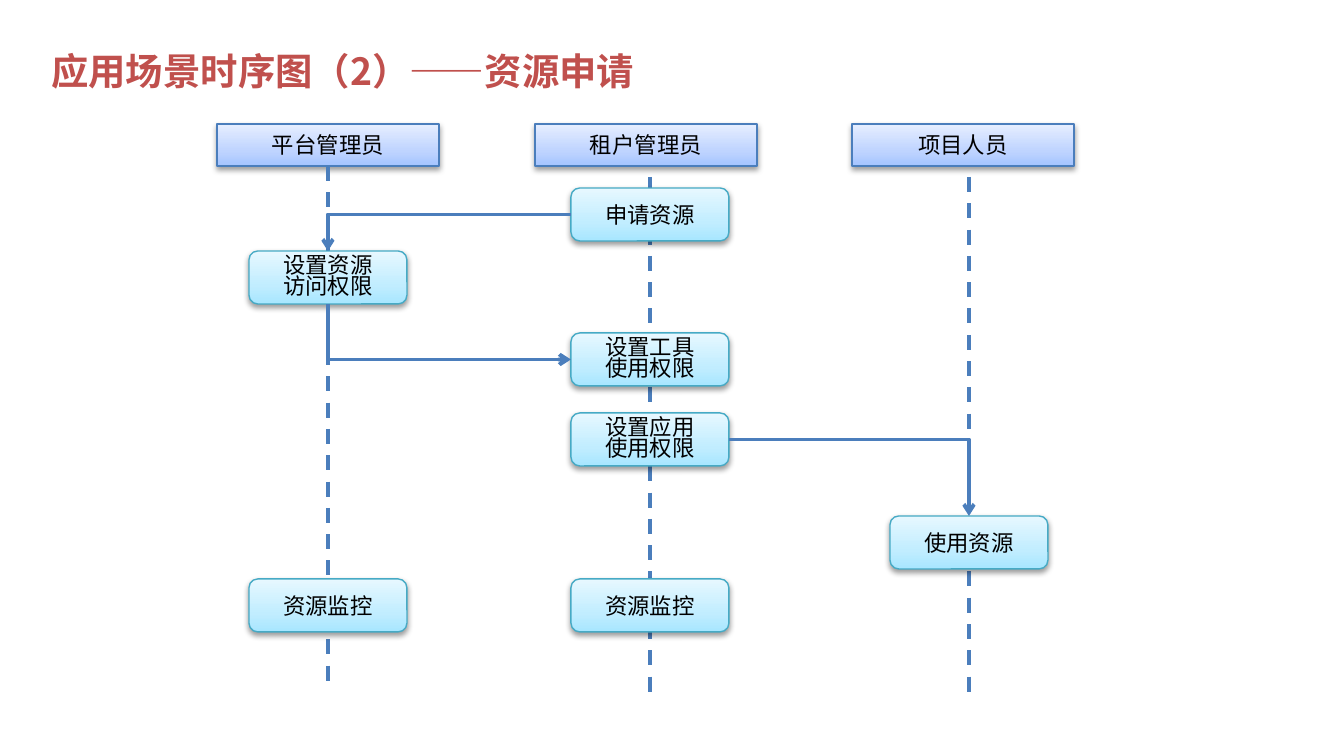
from dataclasses import dataclass

from lxml import etree
from pptx import Presentation
from pptx import util as u
from pptx.dml.color import RGBColor
from pptx.enum import dml, shapes, text
from pptx.oxml.ns import qn

TOP, LEFT, BOTTOM, RIGHT = range(4)


@dataclass(frozen=True)
class Theme:
    font: str = "Noto Sans CJK SC"
    title: str = "C0504D"
    ink: str = "000000"
    line: str = "4B7EBC"
    step_line: str = "46AAC5"
    role_fill: tuple = ("A4C4FF", "BFD4FF", "E6EEFF")
    step_fill: tuple = ("A7E6FF", "C1EDFF", "E7F8FF")
    stops: tuple = (0, 35000, 100000)
    title_size: int = 20
    body_size: int = 12
    border: float = 0.75
    stroke: int = 2


def px(n):
    return u.Emu(round(n * 9144000 / 1344))


def add(parent, tag, **attrs):
    return etree.SubElement(parent, qn(tag), {k: str(v) for k, v in attrs.items()})


def write(tf, content, *, font, size, color, bold=False, align=None, spacing=None):
    tf.word_wrap = True
    for i, line in enumerate(content.split("\n")):
        p = tf.add_paragraph() if i else tf.paragraphs[0]
        p.alignment = align
        p.line_spacing = spacing
        r = p.add_run()
        r.text = line
        r.font.size = u.Pt(size)
        r.font.bold = bold
        r.font.color.rgb = RGBColor.from_string(color)
        r.font.name = font
        add(r.font._element, "a:ea", typeface=font)


class Diagram:
    def __init__(self, slide, theme):
        self.slide = slide
        self.theme = theme

    def title(self, content, x, y, w, h):
        s = self.slide.shapes.add_textbox(px(x), px(y), px(w), px(h))
        write(s.text_frame, content, font=self.theme.font,
              size=self.theme.title_size, color=self.theme.title, bold=True)

    def box(self, kind, content, x, y, w, h, fill, line):
        t = self.theme
        s = self.slide.shapes.add_shape(kind, px(x), px(y), px(w), px(h))
        s.fill.gradient()
        s.fill.gradient_angle = 90
        stops = s._element.spPr.find(".//" + qn("a:gsLst"))
        stops[:] = []
        for pos, color in zip(t.stops, fill):
            add(add(stops, "a:gs", pos=pos), "a:srgbClr", val=color)
        s.line.color.rgb = RGBColor.from_string(line)
        s.line.width = u.Pt(t.border)
        s.shadow.inherit = False
        effects = s._element.spPr.find(qn("a:effectLst"))
        shadow = add(effects, "a:outerShdw", blurRad=u.Pt(3.1), dist=u.Pt(1.6),
                     dir=5400000, rotWithShape=0)
        add(add(shadow, "a:srgbClr", val="000000"), "a:alpha", val=38000)
        tf = s.text_frame
        tf.vertical_anchor = text.MSO_ANCHOR.MIDDLE
        write(tf, content, font=t.font, size=t.body_size, color=t.ink,
              align=text.PP_ALIGN.CENTER, spacing=0.8 if "\n" in content else None)
        return s

    def role(self, content, x):
        return self.box(shapes.MSO_SHAPE.RECTANGLE, content, x, 124, 222, 42,
                        self.theme.role_fill, self.theme.line)

    def step(self, content, center, y):
        return self.box(shapes.MSO_SHAPE.ROUNDED_RECTANGLE, content, center - 79, y,
                        158, 53, self.theme.step_fill, self.theme.step_line)

    def connector(self, kind, x1, y1, x2, y2):
        c = self.slide.shapes.add_connector(kind, px(x1), px(y1), px(x2), px(y2))
        c.line.color.rgb = RGBColor.from_string(self.theme.line)
        c.line.width = u.Pt(self.theme.stroke)
        add(c._element.spPr, "a:effectLst")
        return c

    def lifeline(self, x, top, bottom, role=None):
        c = self.connector(shapes.MSO_CONNECTOR.STRAIGHT, x, top, x, bottom)
        c.line.dash_style = dml.MSO_LINE.DASH
        if role is not None:
            c.begin_connect(role, BOTTOM)

    def message(self, source, start, target, end):
        c = self.connector(shapes.MSO_CONNECTOR.ELBOW, 0, 0, 1, 1)
        c.begin_connect(source, start)
        c.end_connect(target, end)
        c._element.spPr.find(qn("a:prstGeom")).set("prst", "bentConnector2")
        add(c.line._get_or_add_ln(), "a:tailEnd", type="arrow")
        if start == BOTTOM:
            x, y, w, h = c.left, c.top, c.width, c.height
            c.left, c.top = x + (w - h) // 2, y + (h - w) // 2
            c.width, c.height = h, w
            xfrm = c._element.spPr.find(qn("a:xfrm"))
            xfrm.set("rot", "16200000")
            xfrm.set("flipH", "1")


def main():
    prs = Presentation()
    prs.slide_width, prs.slide_height = px(1344), px(756)
    d = Diagram(prs.slides.add_slide(prs.slide_layouts[6]), Theme())

    d.title("应用场景时序图（2）——资源申请", 38, 42, 1282, 74)
    platform, tenant, member = 328, 650, 969
    roles = [d.role(name, x) for name, x in
             (("平台管理员", 217), ("租户管理员", 535), ("项目人员", 852))]
    d.lifeline(platform, 166, 685, roles[0])
    d.lifeline(tenant, 177, 695)
    d.lifeline(member, 177, 695)

    apply = d.step("申请资源", tenant, 188)
    access = d.step("设置资源\n访问权限", platform, 251)
    tools = d.step("设置工具\n使用权限", tenant, 333)
    apps = d.step("设置应用\n使用权限", tenant, 413)
    usage = d.step("使用资源", member, 516)
    for center in (tenant, platform):
        d.step("资源监控", center, 579)

    d.message(apply, LEFT, access, TOP)
    d.message(apps, RIGHT, usage, TOP)
    d.message(access, BOTTOM, tools, LEFT)
    prs.save("out.pptx")


if __name__ == "__main__":
    main()
